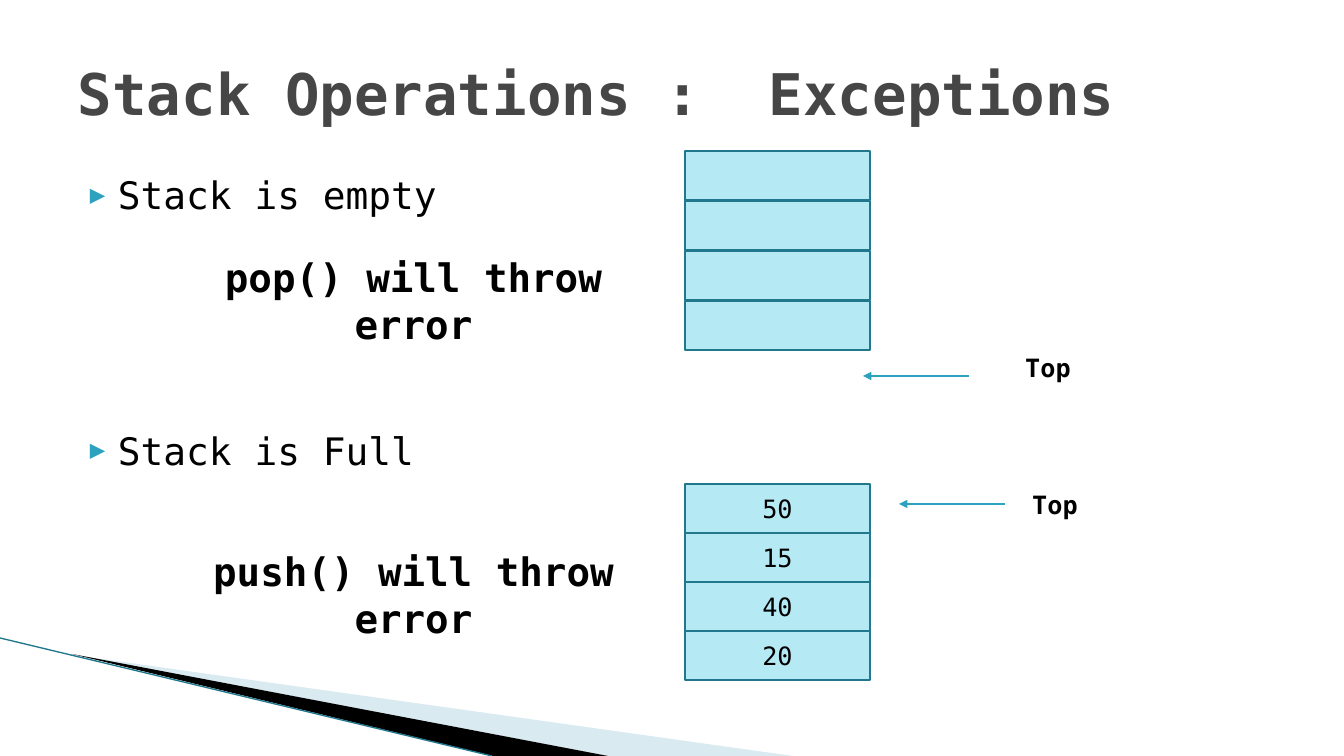
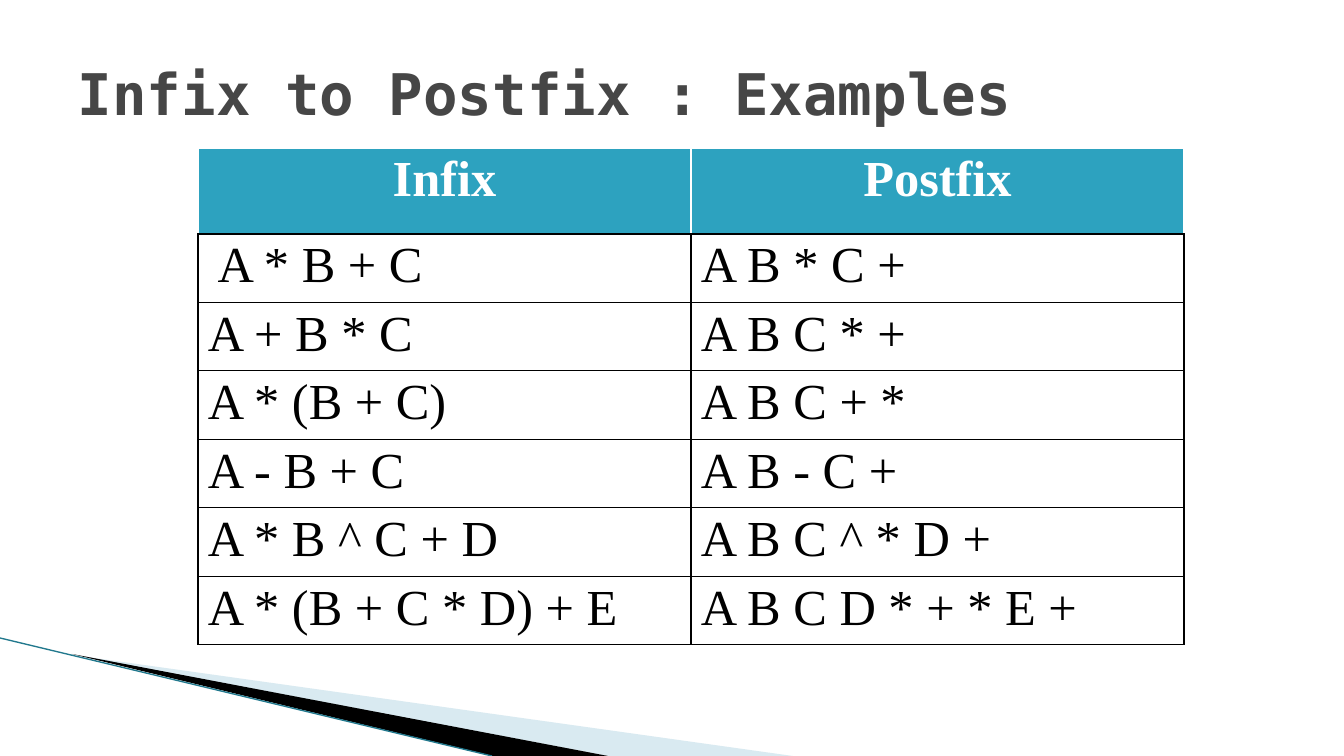
from dataclasses import dataclass

from lxml import etree
from pptx import Presentation
from pptx.dml.color import RGBColor
from pptx.enum.shapes import MSO_CONNECTOR, MSO_SHAPE
from pptx.enum.text import MSO_ANCHOR, PP_ALIGN
from pptx.oxml import parse_xml
from pptx.oxml.ns import nsdecls, qn
from pptx.util import Pt

PX = 9071
LEFT, MID = PP_ALIGN.LEFT, PP_ALIGN.CENTER
TOP, CENTER = MSO_ANCHOR.TOP, MSO_ANCHOR.MIDDLE
RECT, LINE = MSO_SHAPE.RECTANGLE, MSO_CONNECTOR.STRAIGHT


@dataclass(frozen=True)
class Theme:
    mono: str = "DejaVu Sans Mono"
    serif: str = "Times New Roman"
    black: str = "000000"
    white: str = "FFFFFF"
    gray: str = "464646"
    teal: str = "2DA2BF"
    deep: str = "21788D"
    pale: str = "B5E9F4"
    mist: str = "A0CBDC"
    title: int = 41
    body: int = 27
    note: int = 28
    label: int = 18
    grid: int = 36


theme = Theme()
rgb = RGBColor.from_string


def write(para, text, size, color=theme.black, bold=False, align=LEFT, face=theme.mono):
    para.alignment = align
    run = para.add_run()
    run.text = text
    font = run.font
    font.name, font.size, font.bold = face, Pt(size), bold
    font.color.rgb = rgb(color)


def box(slide, left, top, width, height, anchor=TOP):
    shape = slide.shapes.add_textbox(left * PX, top * PX, width * PX, height * PX)
    frame = shape.text_frame
    frame.word_wrap = True
    frame.vertical_anchor = anchor
    return frame


deck = Presentation()
deck.slide_width, deck.slide_height = 1344 * PX, 756 * PX

wedges = [
    ([(73, 655), (793, 756), (608, 756)], theme.mist, 40),
    ([(72, 654), (608, 756), (493, 756)], theme.black, 100),
]
edge = (0, 638, 492, 756, theme.deep, 0.95, False)
arrows = [
    (969, 376, 863, 376, theme.teal, 1.5, True),
    (1005, 504, 899, 504, theme.teal, 1.5, True),
]
pages = [
    ("Stack Operations :  Exceptions", [edge] + arrows),
    ("Infix to Postfix : Examples", [edge]),
]

for title, lines in pages:
    slide = deck.slides.add_slide(deck.slide_layouts[6])
    for points, color, alpha in wedges:
        path = slide.shapes.build_freeform(*points[0], scale=PX)
        path.add_line_segments(points[1:], close=True)
        wedge = path.convert_to_shape()
        wedge.shadow.inherit = False
        wedge.fill.solid()
        wedge.fill.fore_color.rgb = rgb(color)
        wedge.line.fill.background()
        if alpha < 100:
            tint = wedge.fill._xPr.find(".//" + qn("a:srgbClr"))
            etree.SubElement(tint, qn("a:alpha"), val=str(alpha * 1000))
    for x1, y1, x2, y2, color, width, head in lines:
        link = slide.shapes.add_connector(LINE, x1 * PX, y1 * PX, x2 * PX, y2 * PX)
        link.line.color.rgb = rgb(color)
        link.line.width = Pt(width)
        if head:
            etree.SubElement(link.line._get_or_add_ln(), qn("a:tailEnd"), type="triangle")
        etree.SubElement(link._element.spPr, qn("a:effectLst"))
    frame = box(slide, 68, 30, 1210, 126, CENTER)
    write(frame.paragraphs[0], title, theme.title, theme.gray, True)

stack, table = deck.slides

frame = box(stack, 68, 167, 1210, 499)
for i, text in enumerate(["Stack is empty", "Stack is Full"]):
    para = frame.add_paragraph() if i else frame.paragraphs[0]
    props = para._p.get_or_add_pPr()
    props.set("marL", str(40 * PX))
    props.set("indent", str(-28 * PX))
    if i:
        para.space_before = Pt(150)
    for mark in (
        f'<a:buClr {nsdecls("a")}><a:srgbClr val="{theme.teal}"/></a:buClr>',
        f'<a:buSzPct {nsdecls("a")} val="68000"/>',
        f'<a:buFont {nsdecls("a")} typeface="{theme.mono}"/>',
        f'<a:buChar {nsdecls("a")} char="▶"/>',
    ):
        props.append(parse_xml(mark))
    write(para, text, theme.body)

notes = [
    ("Top", 983, 347, 130, 40, theme.label),
    ("Top", 990, 484, 130, 40, theme.label),
    ("pop() will throw error", 183, 248, 461, 57, theme.note),
    ("push() will throw error", 183, 542, 461, 57, theme.note),
]
for text, left, top, width, height, size in notes:
    frame = box(stack, left, top, width, height)
    write(frame.paragraphs[0], text, size, bold=True, align=MID)

stacks = [
    (151, 50, [None] * 4),
    (484, 49, ["50", "15", "40", "20"]),
]
for top, pitch, items in stacks:
    for i, item in enumerate(items):
        slot = stack.shapes.add_shape(RECT, 685 * PX, (top + i * pitch) * PX, 185 * PX, 49 * PX)
        slot.shadow.inherit = False
        slot.fill.solid()
        slot.fill.fore_color.rgb = rgb(theme.pale)
        slot.line.color.rgb = rgb(theme.deep)
        slot.line.width = Pt(1.25)
        if item:
            slot.text_frame.vertical_anchor = CENTER
            write(slot.text_frame.paragraphs[0], item, theme.label, align=MID)

rows = [
    ("Infix", "Postfix"),
    (" A * B + C", "A B * C +"),
    ("A + B * C", "A B C * +"),
    ("A * (B + C)", "A B C + *"),
    ("A - B + C", "A B - C +"),
    ("A * B ^ C + D", "A B C ^ * D +"),
    ("A * (B + C * D) + E", "A B C D * + * E +"),
]
grid = table.shapes.add_table(len(rows), 2, 198 * PX, 148 * PX, 986 * PX, 482 * PX).table
grid.first_row = True
grid.horz_banding = False
for col in grid.columns:
    col.width = 493 * PX
for r, row in enumerate(rows):
    head = r == 0
    grid.rows[r].height = (86 if head else 66) * PX
    for c, text in enumerate(row):
        cell = grid.cell(r, c)
        cell.margin_left = cell.margin_right = 10 * PX
        cell.margin_top = cell.margin_bottom = 4 * PX
        cell.fill.solid()
        cell.fill.fore_color.rgb = rgb(theme.teal if head else theme.white)
        ink = theme.white if head else theme.black
        write(cell.text_frame.paragraphs[0], text, theme.grid, ink, head,
              MID if head else LEFT, theme.serif)
        props = cell._tc.get_or_add_tcPr()
        for n, side in enumerate("LRTB"):
            color = theme.black if side == "B" else ink
            props.insert(n, parse_xml(
                f'<a:ln{side} {nsdecls("a")} w="12700"><a:solidFill>'
                f'<a:srgbClr val="{color}"/></a:solidFill></a:ln{side}>'))

deck.save("out.pptx")
